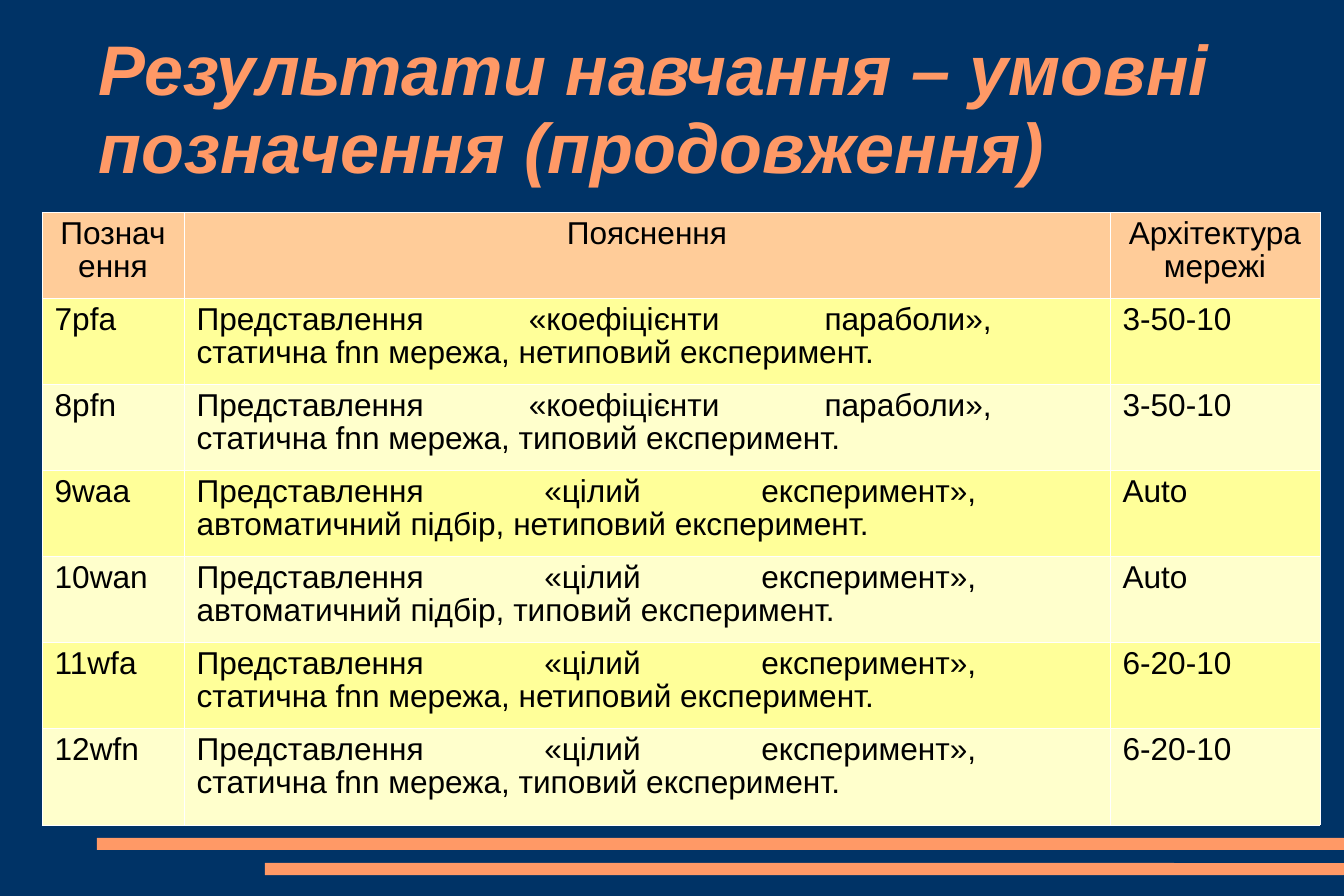
from lxml.etree import SubElement
from pptx import Presentation
from pptx.dml.color import RGBColor
from pptx.enum.shapes import MSO_SHAPE
from pptx.enum.text import MSO_ANCHOR, PP_ALIGN
from pptx.oxml.ns import qn
from pptx.util import Pt

EMU_PER_PX = 7234
FONT = "Arial"
COLORS = {
    "background": "003366",
    "accent": "FF9966",
    "header": "FFCC99",
    "odd_row": "FFFF99",
    "even_row": "FFFFCC",
    "border": "FFFFFF",
    "text": "000000",
}
TITLE = "Результати навчання – умовні позначення (продовження)"
HEADER = ("Позначення", "Пояснення", "Архітектура мережі")
PARABOLA = "Представлення «коефіцієнти параболи», "
WHOLE = "Представлення «цілий експеримент», "
STATIC = "статична fnn мережа, "
AUTOMATIC = "автоматичний підбір, "
ATYPICAL = "нетиповий експеримент."
TYPICAL = "типовий експеримент."
NETWORKS = (
    ("7pfa", (PARABOLA, STATIC + ATYPICAL), "3-50-10"),
    ("8pfn", (PARABOLA, STATIC + TYPICAL), "3-50-10"),
    ("9waa", (WHOLE, AUTOMATIC + ATYPICAL), "Auto"),
    ("10wan", (WHOLE, AUTOMATIC + TYPICAL), "Auto"),
    ("11wfa", (WHOLE, STATIC + ATYPICAL), "6-20-10"),
    ("12wfn", (WHOLE, STATIC + TYPICAL), "6-20-10"),
)
COLUMN_WIDTHS = (142, 926, 210)
ROW_HEIGHTS = (86,) * 6 + (97,)


def px(length):
    """Turn pixels into EMU."""
    return length * EMU_PER_PX


def paint(fill, name):
    """Give a fill one solid colour."""
    fill.solid()
    fill.fore_color.rgb = RGBColor.from_string(COLORS[name])


def write(paragraph, lines, size, color, align, emphasis=False):
    """Write lines into one paragraph, separated by line breaks."""
    paragraph.alignment = align
    paragraph.line_spacing = 0.93
    for index, line in enumerate(lines):
        if index:
            paragraph.add_line_break()
        run = paragraph.add_run()
        run.text = line
        font = run.font
        font.name, font.size = FONT, Pt(size)
        font.bold = font.italic = emphasis
        font.color.rgb = RGBColor.from_string(COLORS[color])


def add_title(slide, left, top, width, height):
    """Place the slide title in its box."""
    box = slide.shapes.add_textbox(px(left), px(top), px(width), px(height))
    frame = box.text_frame
    frame.word_wrap = True
    frame.vertical_anchor = MSO_ANCHOR.MIDDLE
    frame.margin_left = frame.margin_right = frame.margin_bottom = 0
    frame.margin_top = px(5)
    write(frame.paragraphs[0], (TITLE,), 40, "accent", PP_ALIGN.LEFT, True)


def add_footer_bars(slide, left, top, width):
    """Place two stepped bars that run to the right edge of the box."""
    for indent, drop in ((0, 0), (168, 25)):
        bar = slide.shapes.add_shape(
            MSO_SHAPE.ROUNDED_RECTANGLE,
            px(left + indent), px(top + drop), px(width - indent), px(12),
        )
        bar.adjustments[0] = 0.02
        bar.shadow.inherit = False
        paint(bar.fill, "accent")
        bar.line.fill.background()


def add_borders(cell):
    """Draw hairlines on the four sides of a cell."""
    properties = cell._tc.get_or_add_tcPr()
    for side in ("a:lnL", "a:lnR", "a:lnT", "a:lnB"):
        line = SubElement(properties, qn(side), w="762")
        fill = SubElement(line, qn("a:solidFill"))
        SubElement(fill, qn("a:srgbClr"), val=COLORS["border"])


def fill_cell(cell, content, color, align):
    """Give a cell its borders, fill and text."""
    add_borders(cell)
    paint(cell.fill, color)
    lines = (content,) if isinstance(content, str) else content
    write(cell.text_frame.paragraphs[0], lines, 18, "text", align)


def add_network_table(slide, left, top):
    """Place the table of network designations."""
    rows = (HEADER,) + NETWORKS
    table = slide.shapes.add_table(
        len(rows), len(HEADER), px(left), px(top),
        px(sum(COLUMN_WIDTHS)), px(sum(ROW_HEIGHTS)),
    ).table
    table.first_row = table.horz_banding = False
    for column, width in zip(table.columns, COLUMN_WIDTHS):
        column.width = px(width)
    for index, (row, height, contents) in enumerate(zip(table.rows, ROW_HEIGHTS, rows)):
        row.height = px(height)
        color = ("odd_row" if index % 2 else "even_row") if index else "header"
        align = PP_ALIGN.JUSTIFY if index else PP_ALIGN.CENTER
        for cell, content in zip(row.cells, contents):
            fill_cell(cell, content, color, align)


def main():
    """Build the slide and save it."""
    presentation = Presentation()
    presentation.slide_width, presentation.slide_height = px(1344), px(896)
    slide = presentation.slides.add_slide(presentation.slide_layouts[6])
    paint(slide.background.fill, "background")
    add_footer_bars(slide, 97, 838, 1247)
    add_title(slide, 99, 30, 1148, 157)
    add_network_table(slide, 42, 212)
    presentation.save("out.pptx")


if __name__ == "__main__":
    main()
